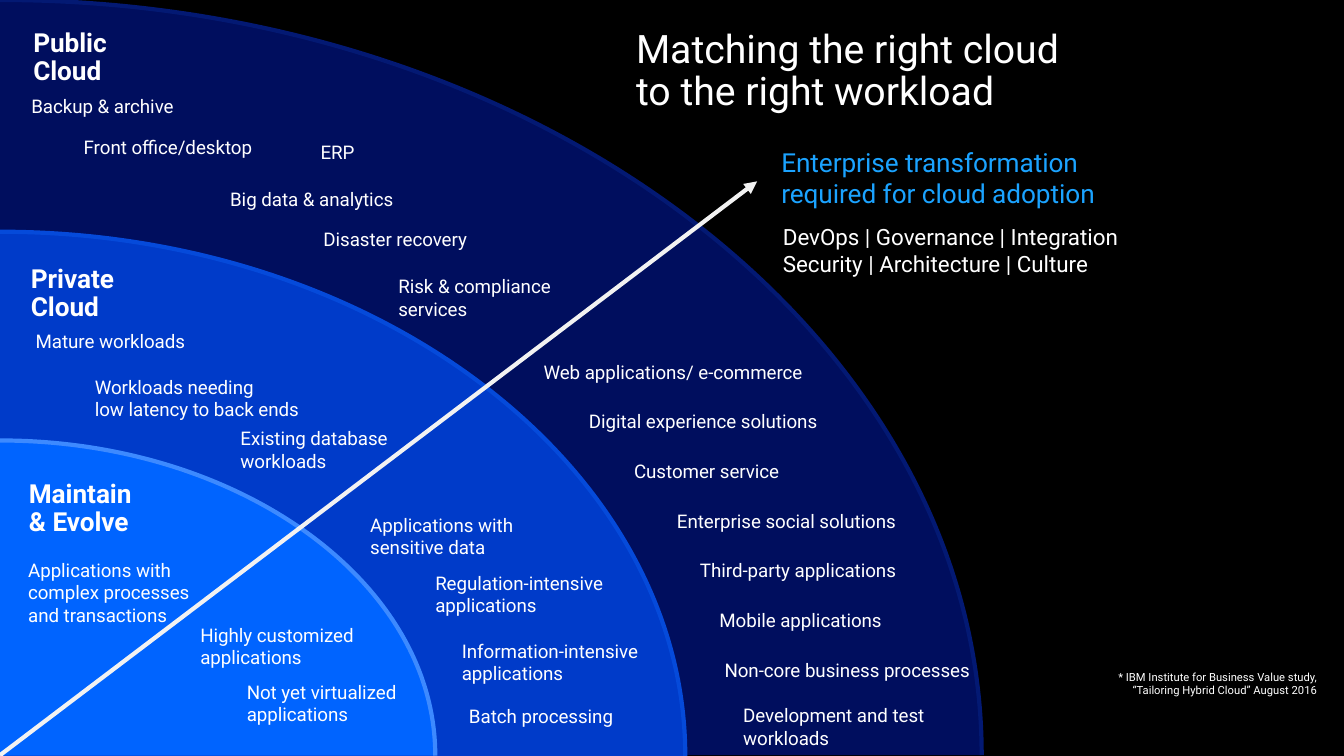
from copy import deepcopy

from lxml import etree
from pptx import Presentation
from pptx.dml.color import RGBColor
from pptx.enum.shapes import MSO_CONNECTOR
from pptx.enum.text import PP_ALIGN
from pptx.oxml.ns import qn
from pptx.util import Cm, Pt

STRAIGHT = MSO_CONNECTOR.STRAIGHT
LEFT, RIGHT = PP_ALIGN.LEFT, PP_ALIGN.RIGHT
FONT = "Roboto"
WHITE = "FFFFFF"
CURVE_HANDLE = 0.55  # handle length of a quarter ellipse, per radius
LABEL_LINE = 0.57

# Boxes are left, top, width, height in cm
PUBLIC_BOX = (0, 0, 24.74, 19.03)
PRIVATE_BOX = (0, 5.84, 17.27, 13.21)
MAINTAIN_BOX = (0, 11.1, 10.97, 7.94)

# Headings and labels: text, offset from the ring's box, width, lines
PUBLIC_HEADING = ("Public\vCloud", 0.84, 0.75, 1.98)
PUBLIC_LABELS = [
    ("Backup & archive", 0.79, 2.38, 6.22, 1),
    ("Front office/desktop", 2.11, 3.43, 4.62, 1),
    ("ERP", 8.08, 3.56, 1.83, 1),
    ("Big data & analytics", 5.8, 4.73, 4.37, 1),
    ("Disaster recovery", 8.15, 5.74, 4.01, 1),
    ("Risk & compliance services", 10.04, 6.93, 5.64, 2),
    ("Development and test workloads", 18.73, 17.74, 6.25, 2),
]
# Evenly spaced labels that follow the outer curve: text, left, width
CURVE_TOP, CURVE_STEP = 9.09, 1.25
CURVE_LABELS = [
    ("Web applications/ e-commerce", 13.7, 7.77),
    ("Digital experience solutions", 14.84, 6.3),
    ("Customer service", 15.98, 4.42),
    ("Enterprise social solutions", 17.06, 7.26),
    ("Third-party applications", 17.64, 8.2),
    ("Mobile applications", 18.13, 6.17),
    ("Non-core business processes", 18.26, 11),
]
PUBLIC_LABELS += [
    (text, left, CURVE_TOP + CURVE_STEP * index, width, 1)
    for index, (text, left, width) in enumerate(CURVE_LABELS)
]
PRIVATE_HEADING = ("Private Cloud", 0.78, 0.86, 3.33)
PRIVATE_LABELS = [
    ("Mature workloads", 0.9, 2.47, 6.22, 1),
    ("Workloads needing\nlow latency to back ends", 2.39, 3.62, 6, 2),
    ("Existing database\nworkloads", 6.06, 4.92, 4.09, 2),
    ("Applications with\vsensitive data", 9.33, 7.11, 4.09, 2),
    ("Regulation-intensive applications", 10.97, 8.57, 4.67, 2),
    ("Information-intensive applications", 11.64, 10.28, 4.98, 2),
    ("Batch processing", 11.82, 11.92, 4.09, 1),
]
MAINTAIN_HEADING = ("Maintain\v& Evolve", 0.73, 1.02, 2.79)
MAINTAIN_LABELS = [
    ("Applications with complex processes and transactions", 0.71, 2.98, 4.15, 3),
    ("Highly customized applications", 5.05, 4.61, 4.55, 2),
    ("Not yet virtualized\vapplications", 6.22, 6.05, 3.94, 2),
]


def color(value):
    return RGBColor.from_string(value)


def add_text(slide, text, box, size=13.33, fill=WHITE, bold=False,
             spacing=1.0, align=LEFT, margins=(0, 0)):
    shape = slide.shapes.add_textbox(*map(Cm, box))
    frame = shape.text_frame
    frame.word_wrap = True
    frame.margin_left = frame.margin_right = Cm(margins[0])
    frame.margin_top = frame.margin_bottom = Cm(margins[1])
    frame.text = text
    for paragraph in frame.paragraphs:
        paragraph.alignment = align
        paragraph.line_spacing = spacing
        for run in paragraph.runs:
            run.font.name = FONT
            run.font.size = Pt(size)
            run.font.bold = bold
            run.font.color.rgb = color(fill)
        # Line breaks take the format of the text around them
        for line_break in paragraph._p.findall(qn("a:br")):
            line_break.insert(0, deepcopy(paragraph.runs[0]._r.rPr))


def add_quarter_ellipse(slide, box):
    """Fill the whole quarter, but draw the line along its curve only."""
    left, top, width, height = map(Cm, box)
    builder = slide.shapes.build_freeform(left, top)
    builder.add_line_segments(
        [(left + width, top + height), (left, top + height)], close=True)
    shape = builder.convert_to_shape()
    shape.shadow.inherit = False

    # Bend the slanted side
    area = next(shape._element.iter(qn("a:path")))
    side = area.find(qn("a:lnTo"))
    curve = etree.Element(qn("a:cubicBezTo"))
    for x, y in [(CURVE_HANDLE * width, 0),
                 (width, (1 - CURVE_HANDLE) * height),
                 (width, height)]:
        etree.SubElement(curve, qn("a:pt"), x=str(round(x)), y=str(round(y)))
    area.replace(side, curve)

    # Split into an open rim and an unstroked area
    rim = deepcopy(area)
    for element in list(rim)[2:]:
        rim.remove(element)
    rim.set("fill", "none")
    area.set("stroke", "0")
    area.addprevious(rim)
    return shape


def add_ring(slide, box, fill, edge, heading, labels):
    left, top = box[:2]
    ring = add_quarter_ellipse(slide, box)
    ring.fill.solid()
    ring.fill.fore_color.rgb = color(fill)
    ring.line.color.rgb = color(edge)
    ring.line.width = Pt(3)

    # Heading and workloads
    text, x, y, width = heading
    add_text(slide, text, (left + x, top + y, width, 1.45),
             size=18.67, bold=True, spacing=0.9)
    for text, x, y, width, lines in labels:
        add_text(slide, text, (left + x, top + y, width, LABEL_LINE * lines))


def add_arrow(slide, start, end):
    arrow = slide.shapes.add_connector(STRAIGHT, *map(Cm, start + end))
    arrow.line.color.rgb = color("F2F2F2")
    arrow.line.width = Pt(3)
    etree.SubElement(arrow.line._get_or_add_ln(), qn("a:tailEnd"), type="triangle")
    etree.SubElement(arrow._element.spPr, qn("a:effectLst"))


def add_transformation(slide, box):
    left, top, width, height = box
    inset = (0.25, 0.13)
    add_text(slide, "Enterprise transformation\nrequired for cloud adoption",
             (left, top, 8.81, 1.85), size=18.67, fill="1BA3FF", margins=inset)
    add_text(slide,
             "DevOps | Governance | Integration\nSecurity | Architecture | Culture",
             (left + 0.04, top + height - 1.63, width, 1.63), size=16, margins=inset)


def add_footnote(slide, box):
    add_text(slide,
             "* IBM Institute for Business Value study, “Tailoring Hybrid Cloud” August 2016",
             box, size=8, align=RIGHT, margins=(0.25, 0.13))


def main():
    presentation = Presentation()
    presentation.slide_width = Cm(33.87)
    presentation.slide_height = Cm(19.05)
    slide = presentation.slides.add_slide(presentation.slide_layouts[6])
    slide.background.fill.solid()
    slide.background.fill.fore_color.rgb = color("000000")

    # Rings, from the outermost inward
    add_ring(slide, PUBLIC_BOX, "000E5E", "031973", PUBLIC_HEADING, PUBLIC_LABELS)
    add_ring(slide, PRIVATE_BOX, "003BC9", "054ADA", PRIVATE_HEADING, PRIVATE_LABELS)
    add_ring(slide, MAINTAIN_BOX, "0064FF", "3D8AFF", MAINTAIN_HEADING, MAINTAIN_LABELS)
    add_arrow(slide, (0, 19.03), (19.08, 4.57))

    # Title and side notes
    add_text(slide, "Matching the right cloud to the right workload",
             (16.03, 0.74, 11.56, 3.4), size=28, spacing=0.9)
    add_transformation(slide, (19.44, 3.56, 9.75, 3.56))
    add_footnote(slide, (27.58, 16.76, 5.87, 0.94))

    presentation.save("out.pptx")


if __name__ == "__main__":
    main()
